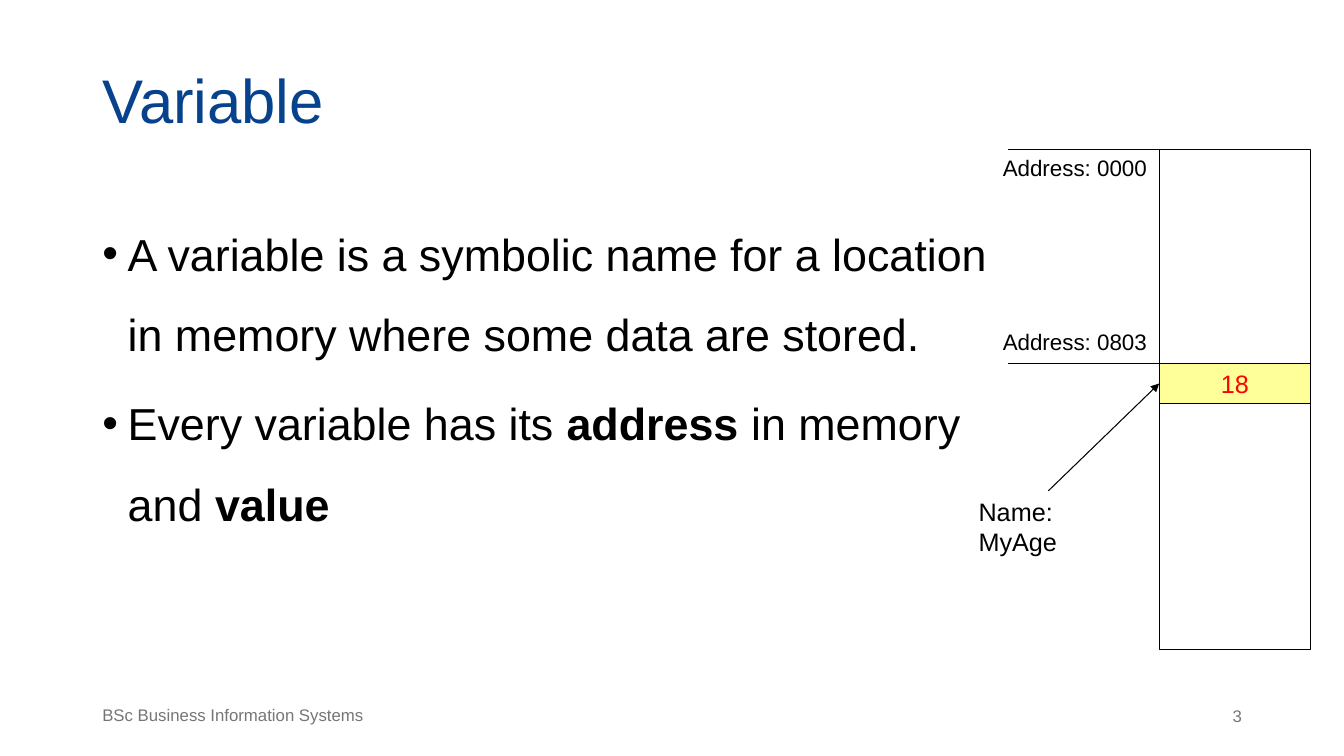
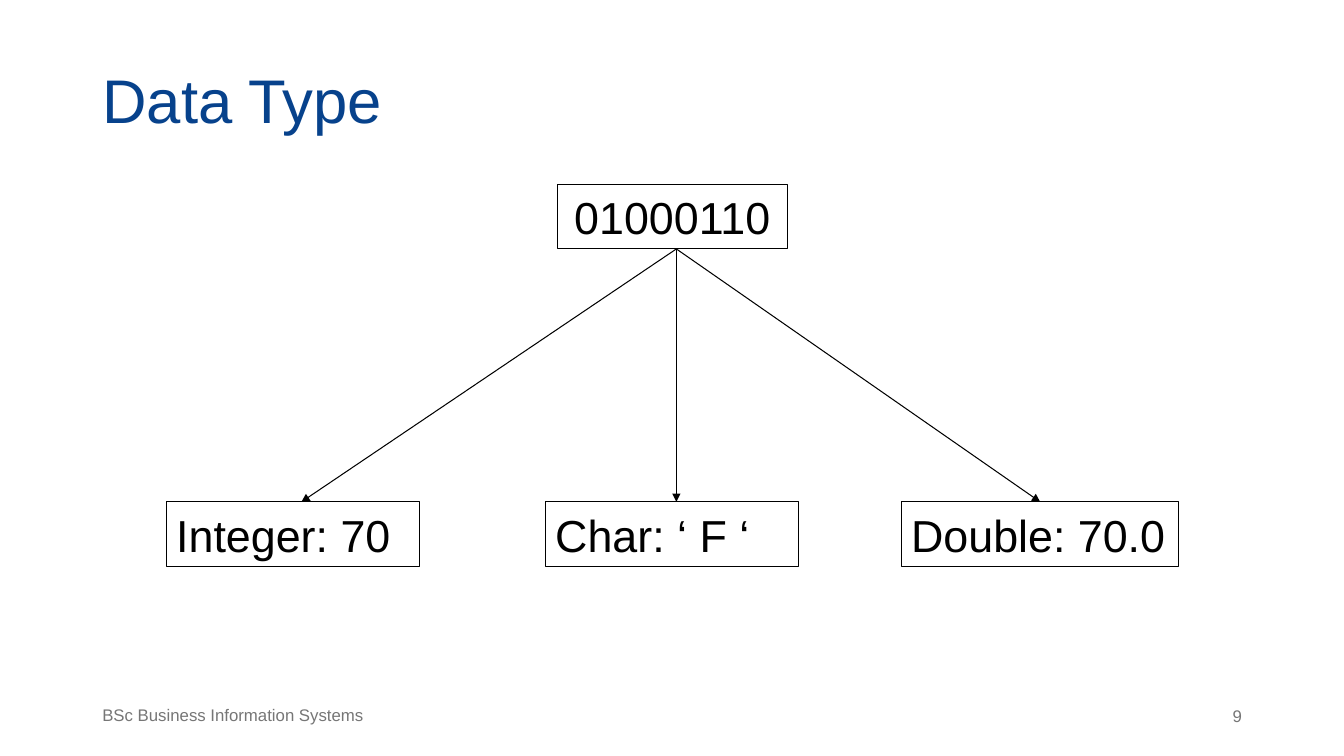
from dataclasses import dataclass

import pptx
import pptx.dml.color
import pptx.enum.shapes
import pptx.enum.text
import pptx.oxml
import pptx.oxml.ns
import pptx.util

ALIGN = pptx.enum.text.PP_ALIGN
ANCHOR = pptx.enum.text.MSO_ANCHOR
COLUMNS, ROWS = 80, 45
SLIDE_WIDTH, SLIDE_HEIGHT = pptx.util.Inches(13.33), pptx.util.Inches(7.5)
MARGIN = 5.5


@dataclass(frozen=True)
class Theme:
    font: str = "Arial"
    title_color: str = "07428C"
    ink: str = "000000"
    muted: str = "767676"
    value_color: str = "FF0000"
    highlight: str = "FFFF99"
    title_size: int = 44
    large: int = 32
    label: int = 18
    small: int = 16
    footer: int = 12
    line_width: float = 0.75


THEME = Theme()


def rgb(value):
    return pptx.dml.color.RGBColor.from_string(value)


def grid(column, row):
    return round(SLIDE_WIDTH * column / COLUMNS), round(SLIDE_HEIGHT * row / ROWS)


def place(shape, left, top, width, height):
    shape.left, shape.top = grid(left, top)
    shape.width, shape.height = grid(width, height)


def style_paragraph(para, size, color=THEME.ink, align=ALIGN.LEFT):
    para.alignment = align
    para.font.name = THEME.font
    para.font.size = pptx.util.Pt(size)
    para.font.color.rgb = rgb(color)


def style_line(line):
    line.color.rgb = rgb(THEME.ink)
    line.width = pptx.util.Pt(THEME.line_width)


def set_frame(frame, anchor, inset=0.1):
    frame.word_wrap = True
    frame.auto_size = pptx.enum.text.MSO_AUTO_SIZE.NONE
    frame.vertical_anchor = anchor
    frame.margin_left = frame.margin_right = pptx.util.Inches(0.1)
    frame.margin_top = frame.margin_bottom = pptx.util.Inches(inset)


def add_label(page, text, area, size, color=THEME.ink, align=ALIGN.LEFT):
    box = page.shapes.add_textbox(*grid(*area[:2]), *grid(*area[2:]))
    set_frame(box.text_frame, ANCHOR.TOP, 0.05)
    para = box.text_frame.paragraphs[0]
    para.text = text
    style_paragraph(para, size, color, align)


def add_box(page, area, text="", size=THEME.large, color=THEME.ink,
            align=ALIGN.CENTER, fill=None):
    box = page.shapes.add_shape(pptx.enum.shapes.MSO_SHAPE.RECTANGLE,
                                *grid(*area[:2]), *grid(*area[2:]))
    box.shadow.inherit = False
    style_line(box.line)
    if fill:
        box.fill.solid()
        box.fill.fore_color.rgb = rgb(fill)
    else:
        box.fill.background()
    if text:
        set_frame(box.text_frame, ANCHOR.MIDDLE, 0.05)
        para = box.text_frame.paragraphs[0]
        para.text = text
        style_paragraph(para, size, color, align)


def add_line(page, start, end, arrow=False):
    line = page.shapes.add_connector(pptx.enum.shapes.MSO_CONNECTOR.STRAIGHT,
                                     *grid(*start), *grid(*end))
    style_line(line.line)
    if arrow:
        head = pptx.oxml.ns.qn("a:tailEnd")
        line.line._get_or_add_ln().append(
            line._element.makeelement(head, {"type": "triangle"}))
    effects = pptx.oxml.ns.qn("a:effectLst")
    properties = line._element.spPr
    properties.append(properties.makeelement(effects, {}))


def add_page(deck, layout, title, number, title_width):
    """Add a slide with the shared title style, footer and page number."""
    page = deck.slides.add_slide(deck.slide_layouts[layout])
    heading = page.shapes.title
    place(heading, MARGIN, 3.12, title_width, 5.64)
    set_frame(heading.text_frame, ANCHOR.BOTTOM)
    para = heading.text_frame.paragraphs[0]
    para.text = title
    para.line_spacing = 0.9
    style_paragraph(para, THEME.title_size, THEME.title_color)
    add_label(page, "BSc Business Information Systems", (MARGIN, 41.64, 20.34, 2.46),
              THEME.footer, THEME.muted)
    add_label(page, str(number), (61.14, 41.7, 13.38, 2.4),
              THEME.footer, THEME.muted, ALIGN.RIGHT)
    return page


def fill_bullets(body, bullets):
    """Write bullets given as lists of (text, bold) spans."""
    frame = body.text_frame
    set_frame(frame, ANCHOR.TOP)
    indent = pptx.util.Inches(0.25)
    for index, spans in enumerate(bullets):
        para = frame.add_paragraph() if index else frame.paragraphs[0]
        style_paragraph(para, THEME.large)
        para.line_spacing = 1.5
        para.space_before = pptx.util.Pt(0)
        para.space_after = pptx.util.Pt(6)
        properties = para._p.get_or_add_pPr()
        properties.set("marL", str(indent))
        properties.set("indent", str(-indent))
        for text, bold in spans:
            span = para.add_run()
            span.text = text
            if bold:
                span.font.bold = True


def add_memory(page):
    """Draw the memory column with its addresses and the named cell."""
    left, top, width = 69, 8.88, 9
    cell_top, cell_height = 21.66, 2.34
    add_box(page, (left, top, width, 29.76))
    add_box(page, (left, cell_top, width, cell_height), "18", THEME.label,
            THEME.value_color, fill=THEME.highlight)
    for text, line_row, label_row in (("Address: 0000", top, top),
                                      ("Address: 0803", cell_top, cell_top - 2.4)):
        add_line(page, (left, line_row), (left - 9, line_row))
        add_label(page, text, (left - 9.9, label_row, 9.9, 2.22), THEME.small)
    name_top = 29.22
    add_line(page, (62.4, name_top), (left, cell_top + cell_height / 2), arrow=True)
    add_label(page, "Name: MyAge", (57.66, name_top, 7.56, 4.2), THEME.label)


def add_interpretations(page):
    """Draw one bit pattern with arrows to its readings by type."""
    root_top, leaf_top, height = 10.98, 29.88, 3.84
    origin = (40.26, root_top + height)
    add_box(page, (33.18, root_top, 13.68, height), "01000110")
    for text, left, width, tip in (("Integer: 70", 9.9, 15.06, 17.94),
                                   ("Char: ‘ F ‘", 32.46, 15.06, origin[0]),
                                   ("Double: 70.0", 53.64, 16.5, 61.92)):
        add_box(page, (left, leaf_top, width, height), text, align=ALIGN.LEFT)
        add_line(page, origin, (tip, leaf_top), arrow=True)


def main():
    deck = pptx.Presentation()
    deck.slide_width, deck.slide_height = SLIDE_WIDTH, SLIDE_HEIGHT

    variable = add_page(deck, 1, "Variable", 3, 56.28)
    body = variable.placeholders[1]
    place(body, MARGIN, 11.28, 54.36, 27.42)
    fill_bullets(body, [
        [("A variable is a symbolic name for a location in memory "
          "where some data are stored.", False)],
        [("Every variable has its ", False), ("address", True),
         (" in memory and ", False), ("value", True)],
    ])
    add_memory(variable)

    data_type = add_page(deck, 5, "Data Type", 9, 68.28)
    add_interpretations(data_type)

    deck.save("out.pptx")


if __name__ == "__main__":
    main()
